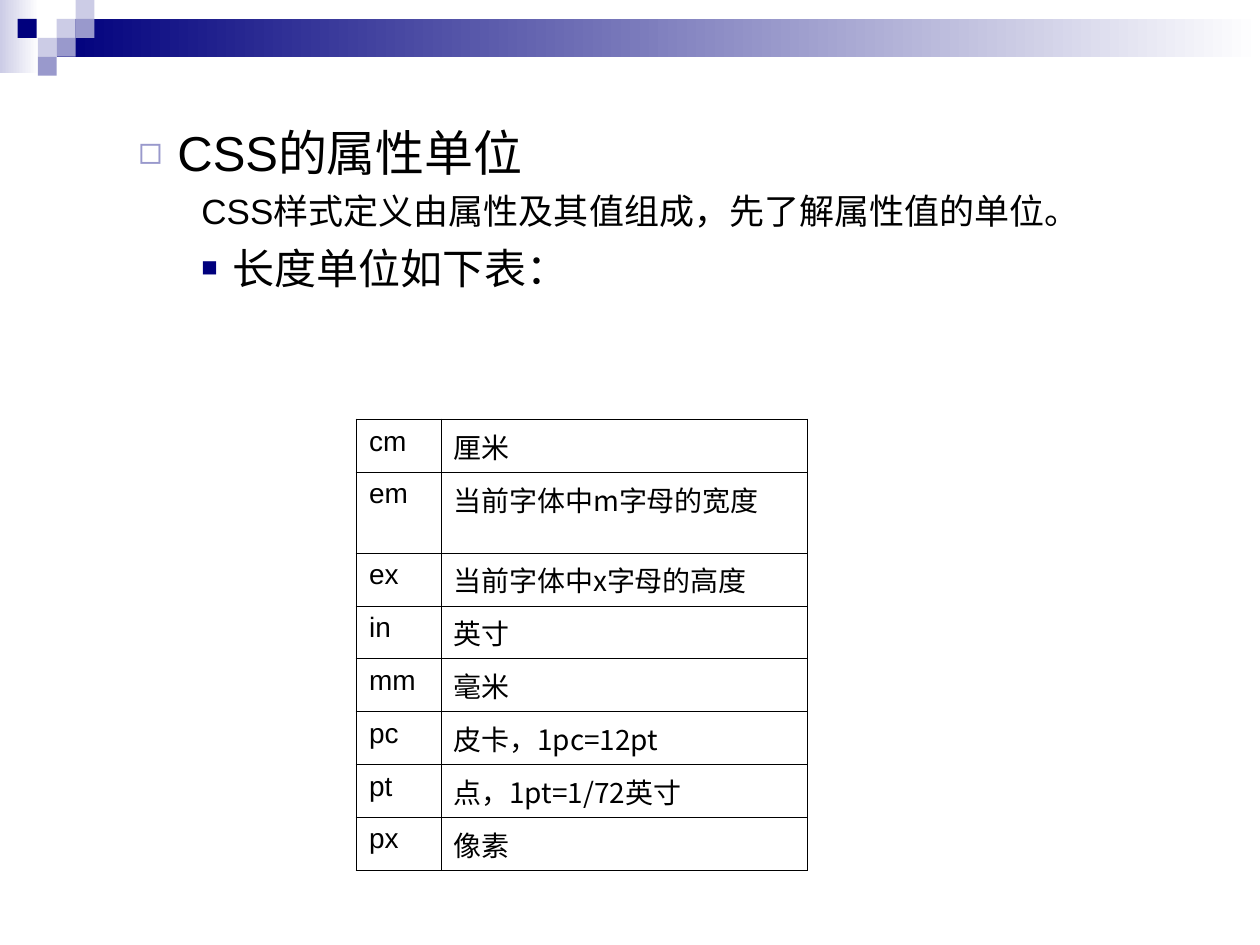
"""Build a slide introducing CSS length units with a reference table."""
from dataclasses import dataclass

import lxml.etree
import pptx
import pptx.dml.color
import pptx.enum.shapes
import pptx.oxml
import pptx.oxml.ns
import pptx.util

Inches = pptx.util.Inches
Pt = pptx.util.Pt
qn = pptx.oxml.ns.qn

LATIN_FONT = "Arial"
CHINESE_FONT = "Noto Sans CJK SC"
BLACK, WHITE = "000000", "FFFFFF"
NAVY, LILAC, PALE = "00007D", "9999CC", "CCCCE6"
SQUARE = 0.15
OUTER_LINE, INNER_LINE = 1.08, 0.45


@dataclass
class Block:
    left: float
    top: float
    width: float
    height: float
    color: str
    end_color: str = ""


@dataclass
class Line:
    text: str
    size: int
    level: int
    margin: float
    indent: float
    space_before: int = 0
    bullet: str = ""
    bullet_color: str = ""
    bullet_percent: int = 100


@dataclass
class Unit:
    name: str
    meaning: str
    height: float = 0.42


BANDS = [
    Block(0, 0, 0.31, 0.58, PALE, WHITE),
    Block(0.45, 0.15, 9.55, 0.3, NAVY, WHITE),
]
SQUARES = [
    Block(left, row * SQUARE, SQUARE, SQUARE, color)
    for left, row, color in [
        (0.45, 1, PALE), (0.6, 0, PALE), (0.6, 1, LILAC), (0.3, 2, PALE),
        (0.14, 1, NAVY), (0.45, 2, LILAC), (0.3, 3, LILAC),
    ]
]
LINES = [
    Line("CSS的属性单位", 28, 1, 0.81, -0.31, 0, "◻", LILAC, 80),
    Line("CSS样式定义由属性及其值组成，先了解属性值的单位。", 20, 2, 1.25, -0.25, 5),
    Line("长度单位如下表：", 24, 2, 1.25, -0.25, 6, "■", NAVY, 65),
]
UNITS = [
    Unit("cm", "厘米"),
    Unit("em", "当前字体中m字母的宽度", 0.64),
    Unit("ex", "当前字体中x字母的高度"),
    Unit("in", "英寸"),
    Unit("mm", "毫米"),
    Unit("pc", "皮卡，1pc=12pt"),
    Unit("pt", "点，1pt=1/72英寸"),
    Unit("px", "像素"),
]
COLUMN_WIDTHS = [0.67, 2.91]


def rgb(color: str) -> pptx.dml.color.RGBColor:
    return pptx.dml.color.RGBColor.from_string(color)


def add_element(parent, tag: str, **attributes: str):
    element = lxml.etree.SubElement(parent, qn(tag))
    for name, value in attributes.items():
        element.set(name, value)
    return element


def draw_block(slide, block: Block) -> None:
    shape = slide.shapes.add_shape(
        pptx.enum.shapes.MSO_SHAPE.RECTANGLE,
        Inches(block.left), Inches(block.top), Inches(block.width), Inches(block.height),
    )
    shape.shadow.inherit = False
    shape.line.fill.background()
    if block.end_color:
        shape.fill.gradient()
        shape.fill.gradient_angle = 0
        for stop, color in zip(shape.fill.gradient_stops, (block.color, block.end_color)):
            stop.color.rgb = rgb(color)
    else:
        shape.fill.solid()
        shape.fill.fore_color.rgb = rgb(block.color)


def format_runs(paragraph, size: int, font_name: str) -> None:
    for run in paragraph.runs:
        run.font.size = Pt(size)
        run.font.name = font_name
        run.font.color.rgb = rgb(BLACK)
        add_element(run.font._element, "a:ea", typeface=CHINESE_FONT)


def write_line(paragraph, line: Line) -> None:
    paragraph.text = line.text
    paragraph.level = line.level
    paragraph.space_before = Pt(line.space_before)
    properties = paragraph._p.get_or_add_pPr()
    properties.set("marL", str(Inches(line.margin)))
    properties.set("indent", str(Inches(line.indent)))
    if line.bullet:
        color = add_element(properties, "a:buClr")
        add_element(color, "a:srgbClr", val=line.bullet_color)
        add_element(properties, "a:buSzPct", val=str(line.bullet_percent * 1000))
        add_element(properties, "a:buFont", typeface=LATIN_FONT)
        add_element(properties, "a:buChar", char=line.bullet)
    else:
        add_element(properties, "a:buNone")
    format_runs(paragraph, line.size, LATIN_FONT)


def draw_body(slide, lines: list[Line]) -> None:
    box = slide.shapes.add_textbox(Inches(0.5), Inches(0.92), Inches(9.08), Inches(5.92))
    frame = box.text_frame
    frame.word_wrap = True
    for index, line in enumerate(lines):
        paragraph = frame.add_paragraph() if index else frame.paragraphs[0]
        write_line(paragraph, line)


def set_borders(cell, outer_sides: dict[str, bool]) -> None:
    properties = cell._tc.get_or_add_tcPr()
    for side, outer in outer_sides.items():
        width = Pt(OUTER_LINE if outer else INNER_LINE)
        line = add_element(properties, f"a:ln{side}", w=str(width))
        fill = add_element(line, "a:solidFill")
        add_element(fill, "a:srgbClr", val=BLACK)


def draw_table(slide, units: list[Unit]) -> None:
    table = slide.shapes.add_table(
        len(units), len(COLUMN_WIDTHS), Inches(2.83), Inches(3.33),
        Inches(sum(COLUMN_WIDTHS)), Inches(sum(unit.height for unit in units)),
    ).table
    table.first_row = False
    table.horz_banding = False
    for column, width in zip(table.columns, COLUMN_WIDTHS):
        column.width = Inches(width)
    last_row = len(units) - 1
    for row, unit in enumerate(units):
        table.rows[row].height = Inches(unit.height)
        entries = [(unit.name, LATIN_FONT), (unit.meaning, CHINESE_FONT)]
        for column, (text, font_name) in enumerate(entries):
            cell = table.cell(row, column)
            cell.text_frame.text = text
            format_runs(cell.text_frame.paragraphs[0], 16, font_name)
            set_borders(cell, {
                "L": column == 0, "R": column == 1, "T": row == 0, "B": row == last_row,
            })
            cell.fill.background()


def main() -> None:
    presentation = pptx.Presentation()
    presentation.slide_width = Inches(10)
    presentation.slide_height = Inches(7.5)
    slide = presentation.slides.add_slide(presentation.slide_layouts[6])
    for block in BANDS + SQUARES:
        draw_block(slide, block)
    draw_body(slide, LINES)
    draw_table(slide, UNITS)
    presentation.save("out.pptx")


if __name__ == "__main__":
    main()
